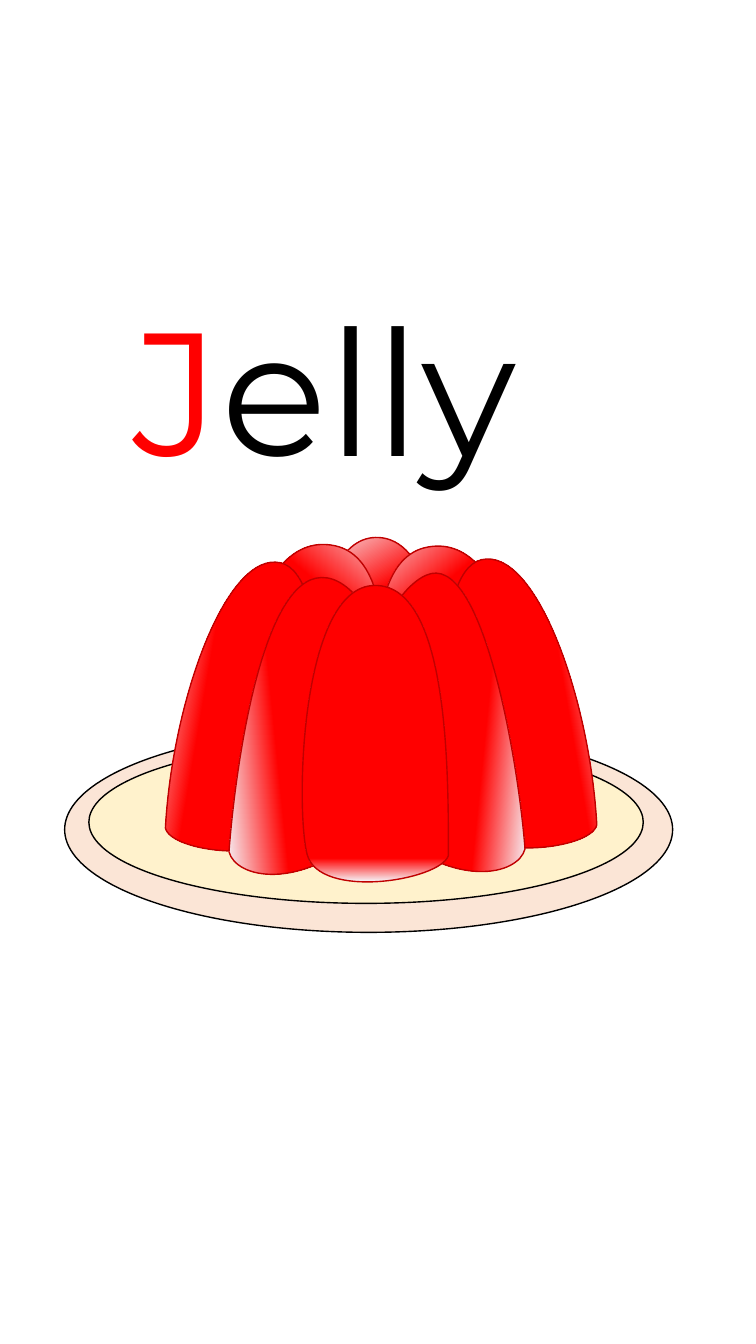
from dataclasses import dataclass, replace
from math import cos, radians, sin

from lxml import etree
from pptx import Presentation
from pptx.dml.color import RGBColor
from pptx.enum.shapes import MSO_SHAPE
from pptx.enum.text import MSO_ANCHOR, MSO_AUTO_SIZE, PP_ALIGN
from pptx.oxml.ns import qn
from pptx.util import Cm, Pt

OVAL = MSO_SHAPE.OVAL
TOP = MSO_ANCHOR.TOP
LEFT = PP_ALIGN.LEFT
FIT_SHAPE = MSO_AUTO_SIZE.SHAPE_TO_FIT_TEXT
TITLE_ONLY = 5
MIRROR_SUM = 19.18
CURVE_STEPS = 50


@dataclass(frozen=True)
class Theme:
    font: str = "Montserrat"
    title_size: float = 125
    line_width: float = 1
    ink: str = "000000"
    jelly: str = "FF0000"
    jelly_edge: str = "C00000"
    shine: str = "F6F8FC"
    plate_rim: str = "FBE5D6"
    plate_well: str = "FFF2CC"


@dataclass(frozen=True)
class Rib:
    points: tuple
    gradient: float
    rotation: float = 0
    shine_end: float = 0.26

    def shifted(self, dx, dy):
        return replace(self, points=tuple((x + dx, y + dy) for x, y in self.points))

    def mirrored(self):
        return replace(
            self,
            points=tuple((MIRROR_SUM - x, y) for x, y in self.points),
            gradient=(180 - self.gradient) % 360,
            rotation=-self.rotation,
        )


THEME = Theme()

BACK = Rib(
    ((7.77, 20.32), (7.47, 19.18), (7.59, 13.56), (9.47, 13.54),
     (11.35, 13.51), (11.33, 18.29), (11.33, 20.35),
     (11.1, 20.98), (8.08, 21.46), (7.77, 20.32)), 60)
INNER_RIGHT = Rib(
    ((10.16, 20.35), (9.68, 19.23), (8.76, 14.22), (10.74, 13.79),
     (12.75, 13.36), (13.46, 17.25), (13.64, 20.47),
     (13.51, 21.13), (10.64, 21.44), (10.16, 20.35)), 60, -9.8)
OUTER_RIGHT = Rib(
    ((11.56, 20.65), (11.1, 19.53), (10.8, 14.4), (12.14, 14.1),
     (13.49, 13.79), (14.86, 17.53), (15.04, 20.78),
     (14.91, 21.41), (12.04, 21.74), (11.56, 20.65)), 180, -9.8)
FRONT_RIGHT = Rib(
    ((9.68, 20.83), (7.92, 19.23), (9.55, 14.76), (10.87, 14.45),
     (12.22, 14.17), (13.08, 19.33), (13.23, 21.39),
     (13.06, 22.05), (11.46, 22.43), (9.68, 20.83)), 190, -4.2)
FRONT_LEFT = Rib(
    ((9.3, 20.9), (11.07, 19.3), (9.65, 14.5), (8.1, 14.55),
     (6.58, 14.58), (5.92, 19.41), (5.77, 21.46),
     (5.94, 22.12), (7.54, 22.5), (9.3, 20.9)), 350, 4.2, 0.29)

RIBS = (
    BACK,
    INNER_RIGHT,
    OUTER_RIGHT,
    FRONT_RIGHT,
    INNER_RIGHT.mirrored().shifted(0, -0.04),
    replace(OUTER_RIGHT.mirrored().shifted(0.03, 0.08), shine_end=0.29),
    FRONT_LEFT,
    replace(BACK.shifted(-0.03, 1.21), gradient=270, shine_end=0.08),
)


def colour(code):
    return RGBColor.from_string(code)


def outline(shape, code):
    shape.shadow.inherit = False
    shape.line.color.rgb = colour(code)
    shape.line.width = Pt(THEME.line_width)


def turn(x, y, degrees):
    angle = radians(degrees)
    return x * cos(angle) - y * sin(angle), x * sin(angle) + y * cos(angle)


def curve_extent(points, axis):
    values = []
    for first in range(0, len(points) - 1, 3):
        a, b, c, d = (point[axis] for point in points[first:first + 4])
        for step in range(CURVE_STEPS + 1):
            t = step / CURVE_STEPS
            u = 1 - t
            values.append(a * u ** 3 + 3 * b * t * u * u + 3 * c * t * t * u + d * t ** 3)
    return round(min(values)), round(max(values) - min(values))


def add_title(page, first_letter, rest):
    box = page.shapes.title
    box.left, box.top, box.width, box.height = Cm(3.12), Cm(6.96), Cm(13.08), Cm(5.59)
    frame = box.text_frame
    frame.word_wrap = True
    frame.auto_size = FIT_SHAPE
    frame.vertical_anchor = TOP
    para = frame.paragraphs[0]
    para.alignment = LEFT
    para.line_spacing = 1.0
    for text, code in ((first_letter, THEME.jelly), (rest, THEME.ink)):
        span = para.add_run()
        span.text = text
        span.font.name = THEME.font
        span.font.size = Pt(THEME.title_size)
        span.font.color.rgb = colour(code)


def add_plate(group, left, top, width, height, fill):
    plate = group.shapes.add_shape(OVAL, Cm(left), Cm(top), Cm(width), Cm(height))
    plate.fill.solid()
    plate.fill.fore_color.rgb = colour(fill)
    outline(plate, THEME.ink)


def add_curved_outline(group, points):
    builder = group.shapes.build_freeform(*points[0])
    builder.add_line_segments(points[3::3], close=True)
    shape = builder.convert_to_shape()
    shape.left, shape.width = curve_extent(points, 0)
    shape.top, shape.height = curve_extent(points, 1)
    track = next(shape._element.iter(qn("a:path")))
    track.set("w", str(shape.width))
    track.set("h", str(shape.height))
    for command in list(track):
        track.remove(command)
    for name, part in (("moveTo", points[:1]), *(
            ("cubicBezTo", points[first:first + 3]) for first in range(1, len(points), 3))):
        command = etree.SubElement(track, qn(f"a:{name}"))
        for x, y in part:
            etree.SubElement(command, qn("a:pt"), x=str(x - shape.left), y=str(y - shape.top))
    etree.SubElement(track, qn("a:close"))
    return shape


def add_rib(group, rib):
    upright = [turn(x, y, -rib.rotation) for x, y in rib.points]
    shape = add_curved_outline(group, [(int(Cm(x)), int(Cm(y))) for x, y in upright])
    centre_x, centre_y = turn(
        shape.left + shape.width / 2, shape.top + shape.height / 2, rib.rotation)
    shape.left = round(centre_x - shape.width / 2)
    shape.top = round(centre_y - shape.height / 2)
    shape.rotation = rib.rotation
    shape.fill.gradient()
    shape.fill.gradient_angle = (360 - rib.gradient) % 360
    stops = ((0, THEME.shine), (rib.shine_end, THEME.jelly))
    for stop, (position, code) in zip(shape.fill.gradient_stops, stops):
        stop.position = position
        stop.color.rgb = colour(code)
    outline(shape, THEME.jelly_edge)


def main():
    deck = Presentation()
    deck.slide_width, deck.slide_height = Cm(19.05), Cm(33.86)
    page = deck.slides.add_slide(deck.slide_layouts[TITLE_ONLY])
    add_title(page, "J", "elly")
    dessert = page.shapes.add_group_shape()
    add_plate(dessert, 1.63, 18.31, 15.32, 5.18, THEME.plate_rim)
    add_plate(dessert, 2.24, 18.67, 13.97, 4.09, THEME.plate_well)
    for rib in RIBS:
        add_rib(dessert, rib)
    deck.save("out.pptx")


if __name__ == "__main__":
    main()
